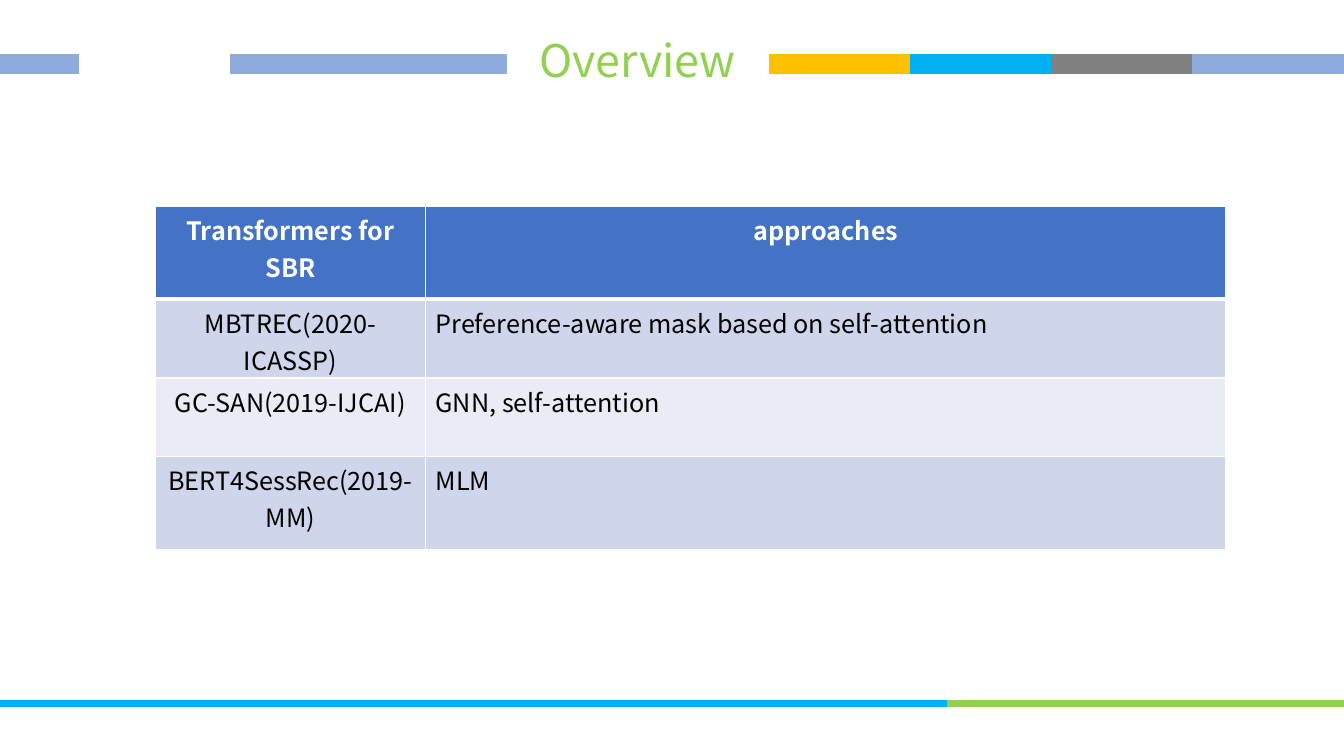
from lxml import etree
from pptx import Presentation
from pptx import util as u
from pptx.dml.color import RGBColor
from pptx.enum import shapes, text
from pptx.oxml.ns import qn

PERIWINKLE, AMBER, SKY = "8FAADC", "FFC000", "00B0F0"
GREEN, GRAY, BLUE = "92D050", "808080", "4472C4"
BANDS = ["CFD5EA", "E9EBF5"]
WHITE, BLACK = "FFFFFF", "000000"


def rgb(value):
    return RGBColor.from_string(value)


class Deck:
    font = "Noto Sans CJK SC"

    def __init__(self, prs):
        self.slide = prs.slides.add_slide(prs.slide_layouts[6])

    def bar(self, x, y, w, h, color):
        sp = self.slide.shapes.add_shape(
            shapes.MSO_SHAPE.RECTANGLE, *map(u.Inches, (x, y, w, h)))
        sp.shadow.inherit = False
        sp.fill.solid()
        sp.fill.fore_color.rgb = rgb(color)
        sp.line.color.rgb = rgb(color)
        sp.line.width = u.Pt(1)

    def add_words(self, tf, words, size, color, bold=False, centered=True):
        p = tf.paragraphs[0]
        p.alignment = text.PP_ALIGN.CENTER if centered else text.PP_ALIGN.LEFT
        r = p.add_run()
        r.text = words
        r.font.name = self.font
        r.font.size = u.Pt(size)
        r.font.bold = bold
        r.font.color.rgb = rgb(color)

    def title(self, x, y, w, h, words):
        sp = self.slide.shapes.add_textbox(*map(u.Inches, (x, y, w, h)))
        sp.text_frame.word_wrap = True
        self.add_words(sp.text_frame, words, 32, GREEN)

    def borders(self, cell, top, bottom):
        """Draw white cell borders; must run before the cell is filled."""
        tc_pr = cell._tc.get_or_add_tcPr()
        for side, width in (("L", 1), ("R", 1), ("T", top), ("B", bottom)):
            ln = etree.SubElement(tc_pr, qn(f"a:ln{side}"), w=str(u.Pt(width)))
            fill = etree.SubElement(ln, qn("a:solidFill"))
            etree.SubElement(fill, qn("a:srgbClr"), val=WHITE)

    def table(self, x, y, widths, heights, rows):
        frame = self.slide.shapes.add_table(
            len(rows), len(widths), u.Inches(x), u.Inches(y),
            u.Inches(sum(widths)), u.Inches(sum(heights)))
        table = frame.table
        for column, width in zip(table.columns, widths):
            column.width = u.Inches(width)
        for i, (row, height) in enumerate(zip(rows, heights)):
            table.rows[i].height = u.Inches(height)
            header = i == 0
            for j, words in enumerate(row):
                cell = table.cell(i, j)
                self.borders(cell, 3 if i == 1 else 1, 3 if header else 1)
                cell.fill.solid()
                cell.fill.fore_color.rgb = rgb(
                    BLUE if header else BANDS[(i - 1) % 2])
                self.add_words(cell.text_frame, words, 18,
                               WHITE if header else BLACK, header,
                               header or j == 0)


def main():
    prs = Presentation()
    prs.slide_width, prs.slide_height = u.Inches(13.33), u.Inches(7.5)
    s = Deck(prs)

    bar_y, bar_h = 0.54, 0.19
    s.bar(2.29, bar_y, 2.73, bar_h, PERIWINKLE)
    s.bar(0, bar_y, 0.78, bar_h, PERIWINKLE)
    for i, color in enumerate((AMBER, SKY, GRAY, PERIWINKLE)):
        s.bar(7.63 + 1.4 * i, bar_y, 1.49, bar_h, color)
    s.title(5.14, 0.28, 2.37, 0.64, "Overview")

    s.bar(0, 6.95, 9.4, 0.06, SKY)
    s.bar(9.4, 6.95, 3.93, 0.06, GREEN)

    s.table(1.54, 2.05, [2.68, 7.94], [0.92, 0.78, 0.78, 0.92], [
        ("Transformers for SBR", "approaches"),
        ("MBTREC(2020-ICASSP)",
         "Preference-aware mask based on self-attention"),
        ("GC-SAN(2019-IJCAI)", "GNN, self-attention"),
        ("BERT4SessRec(2019-MM)", "MLM"),
    ])
    prs.save("out.pptx")


if __name__ == "__main__":
    main()
